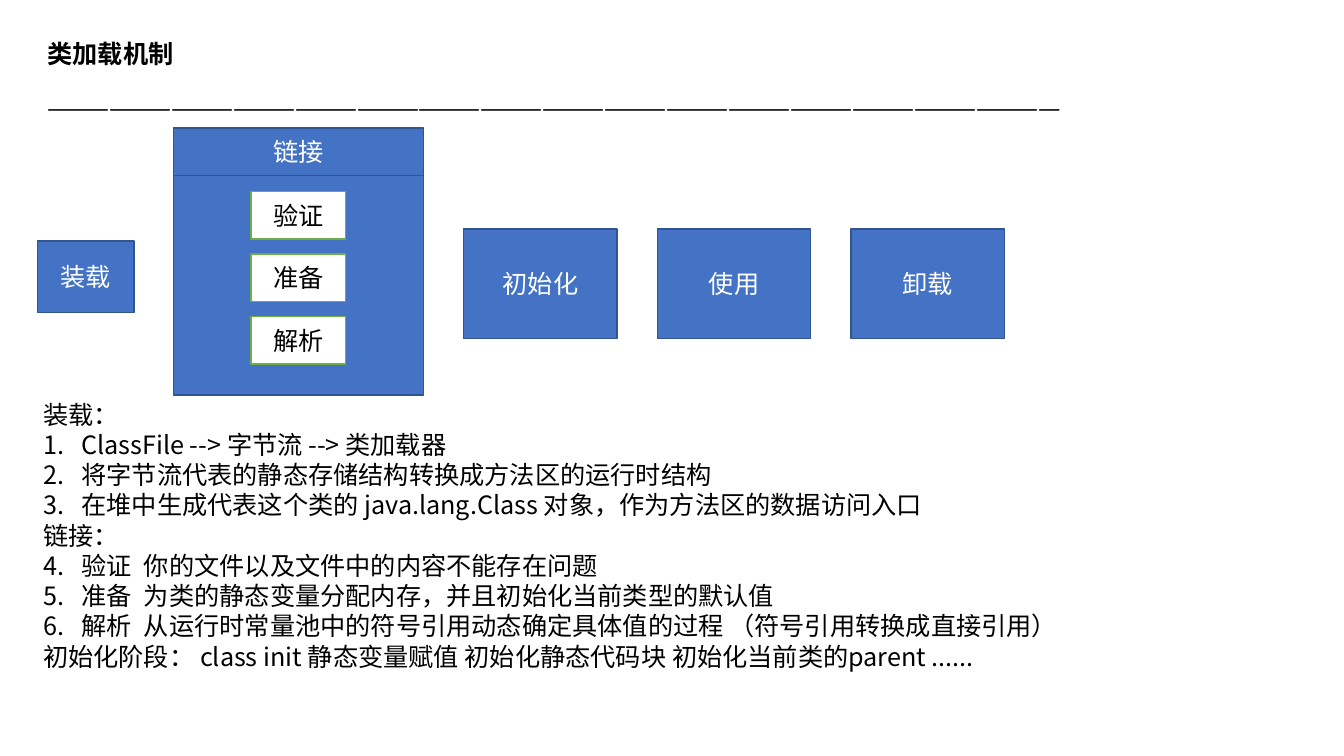
from pptx import Presentation
from pptx import util as u
from pptx.dml.color import RGBColor
from pptx.enum import shapes, text
from pptx.oxml import ns
from lxml import etree


def color(value):
    """Turn a hex string into a colour."""
    return RGBColor.from_string(value)


def add_child(parent, tag, **attributes):
    """Append a DrawingML element to its parent."""
    return etree.SubElement(parent, ns.qn(tag), attributes)


class SlideBuilder:
    """Hold the style and the current slide."""

    FONT = "Noto Sans CJK SC"
    SIZE = u.Pt(18)
    BLUE, BLUE_EDGE, GREEN = "4472C4", "325491", "70AD47"
    WHITE, BLACK = "FFFFFF", "000000"
    INDENT = 0.38

    def __init__(self, slide):
        self.slide = slide

    def style(self, paragraph, ink, bold=False, align=text.PP_ALIGN.LEFT):
        """Format a whole paragraph and its East Asian font."""
        font = paragraph.font
        font.name, font.size, font.bold = self.FONT, self.SIZE, bold
        font.color.rgb = color(ink)
        paragraph.alignment = align
        for run in paragraph.runs:
            add_child(run.font._element, "a:ea", typeface=self.FONT)

    def title(self, words, left, top, width, height):
        """Move, fill and format the title placeholder."""
        heading = self.slide.shapes.title
        heading.left, heading.top = u.Inches(left), u.Inches(top)
        heading.width, heading.height = u.Inches(width), u.Inches(height)
        heading.text_frame.text = words
        heading.text_frame.vertical_anchor = text.MSO_ANCHOR.TOP
        self.style(heading.text_frame.paragraphs[0], self.BLACK, bold=True)

    def textbox(self, lines, left, top, width, height):
        """Add a text box of (words, number) lines; number None is plain."""
        box = self.slide.shapes.add_textbox(
            u.Inches(left), u.Inches(top), u.Inches(width), u.Inches(height))
        frame = box.text_frame
        frame.word_wrap = True
        frame.text = "\n".join(words for words, _ in lines)
        for paragraph, (_, start) in zip(frame.paragraphs, lines):
            self.style(paragraph, self.BLACK)
            if start:
                self.number(paragraph, start)

    def number(self, paragraph, start):
        """Number a paragraph in the list that begins at start."""
        properties = paragraph._p.get_or_add_pPr()
        properties.set("marL", str(u.Inches(self.INDENT)))
        properties.set("indent", str(-u.Inches(self.INDENT)))
        bullet = etree.Element(ns.qn("a:buAutoNum"),
                               type="arabicPeriod", startAt=str(start))
        properties.insert(0, bullet)

    def box(self, words, left, top, width, height,
            fill=BLUE, edge=BLUE_EDGE, ink=WHITE):
        """Add a rectangle with an optional centred label."""
        stage = self.slide.shapes.add_shape(
            shapes.MSO_SHAPE.RECTANGLE,
            u.Inches(left), u.Inches(top), u.Inches(width), u.Inches(height))
        stage.shadow.inherit = False
        stage.fill.solid()
        stage.fill.fore_color.rgb = color(fill)
        stage.line.color.rgb = color(edge)
        stage.line.width = u.Pt(1)
        if words:
            frame = stage.text_frame
            frame.text = words
            frame.vertical_anchor = text.MSO_ANCHOR.MIDDLE
            self.style(frame.paragraphs[0], ink, align=text.PP_ALIGN.CENTER)


LOADING_STEPS = [
    "ClassFile --> 字节流 --> 类加载器",
    "将字节流代表的静态存储结构转换成方法区的运行时结构",
    "在堆中生成代表这个类的 java.lang.Class 对象，作为方法区的数据访问入口",
]
LINKING_STEPS = [
    ("验证", "你的文件以及文件中的内容不能存在问题"),
    ("准备", "为类的静态变量分配内存，并且初始化当前类型的默认值"),
    ("解析", "从运行时常量池中的符号引用动态确定具体值的过程 （符号引用转换成直接引用）"),
]
INITIALIZATION = ("初始化阶段： class init 静态变量赋值 初始化静态代码块 "
                  "初始化当前类的parent ......")

presentation = Presentation()
presentation.slide_width = u.Inches(13.33)
presentation.slide_height = u.Inches(7.5)
builder = SlideBuilder(
    presentation.slides.add_slide(presentation.slide_layouts[5]))

builder.title("类加载机制", 0.37, 0.33, 12.67, 0.4)
builder.textbox([("—" * 49, None)], 0.37, 0.87, 12.67, 0.4)

builder.box("装载", 0.37, 2.39, 0.96, 0.71)
builder.box("", 1.72, 1.29, 2.48, 2.63)
for column, phase in enumerate(["初始化", "使用", "卸载"]):
    builder.box(phase, 4.6 + 1.92 * column, 2.27, 1.52, 1.09)
builder.box("链接", 1.72, 1.27, 2.48, 0.47)
for row, (step, _) in enumerate(LINKING_STEPS):
    builder.box(step, 2.49, 1.9 + 0.62 * row, 0.94, 0.47,
                builder.WHITE, builder.GREEN, builder.BLACK)

explanation = [("装载：", None)]
explanation += [(step, 1) for step in LOADING_STEPS]
explanation += [("链接：", None)]
explanation += [(f"{step}\t{meaning}", len(LOADING_STEPS) + 1)
                for step, meaning in LINKING_STEPS]
explanation += [(INITIALIZATION, None)]
builder.textbox(explanation, 0.33, 3.91, 12.67, 3.13)

presentation.save("out.pptx")
